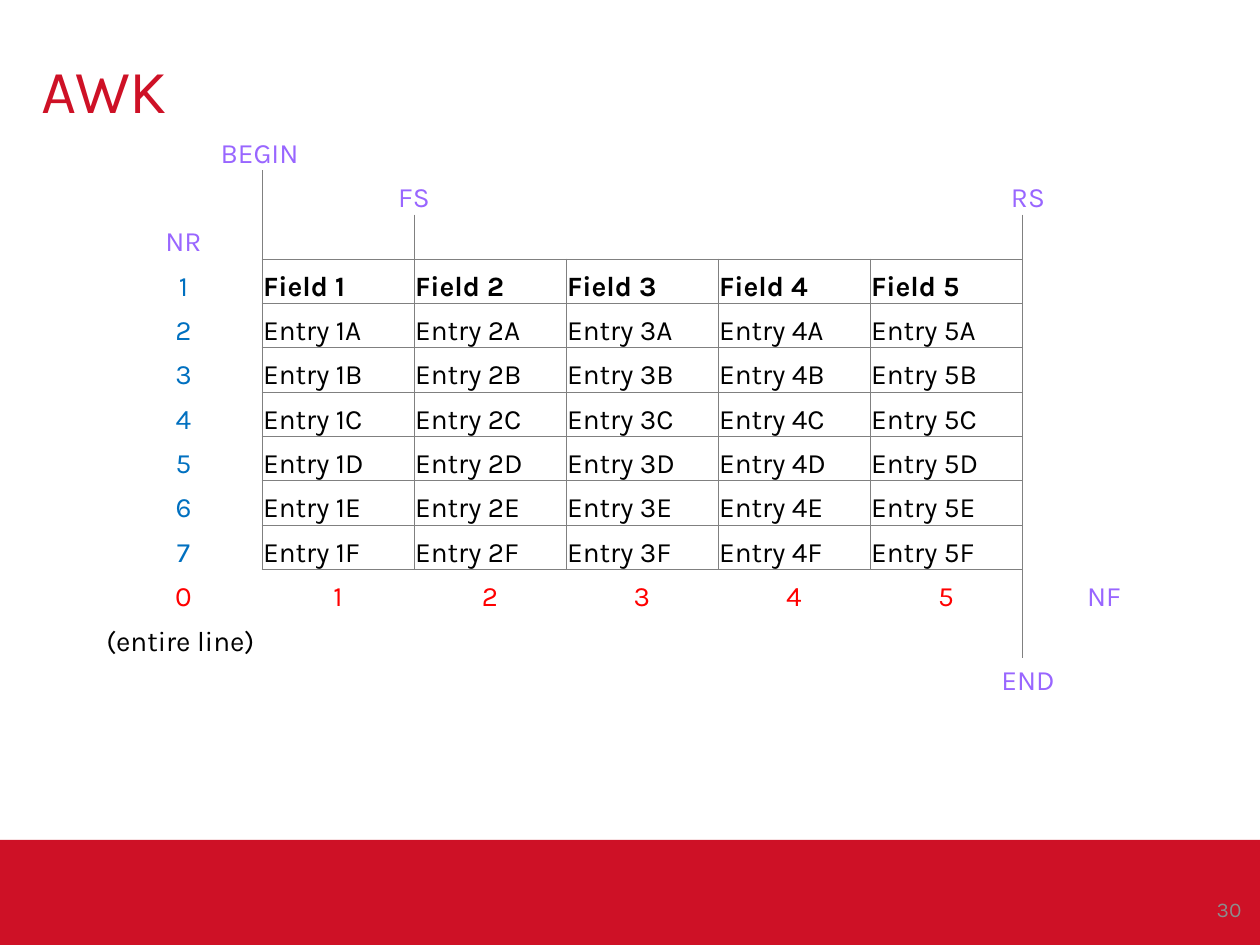
from lxml import etree
from pptx import Presentation
from pptx.dml.color import RGBColor
from pptx.enum.shapes import MSO_SHAPE
from pptx.enum.text import MSO_ANCHOR, PP_ALIGN
from pptx.oxml.ns import qn
from pptx.util import Emu, Inches, Pt

LEFT, CENTER, RIGHT = PP_ALIGN.LEFT, PP_ALIGN.CENTER, PP_ALIGN.RIGHT
MIDDLE, BOTTOM = MSO_ANCHOR.MIDDLE, MSO_ANCHOR.BOTTOM
EMU_PER_PX = 914400 / 126
FONT = "Karla"
COLORS = {
    "red": "CE1126",
    "page_number": "8C8C8C",
    "border": "808080",
    "variable": "9966FF",
    "record": "0070C0",
    "field": "FF0000",
    "text": "000000",
}
NO_STYLE_NO_GRID = "{2D5ABB26-0587-4C30-8999-92F81FD0307C}"
COLUMN_WIDTHS = [157] + [152] * 5 + [164]
ROW_COUNT = 13
FIELDS = range(1, 6)
FIRST_ROW, LAST_ROW = 3, 9
# Column boundary -> rows in which its vertical line is drawn
VERTICALS = {
    1: range(1, 10),
    2: range(2, 10),
    3: range(3, 10),
    4: range(3, 10),
    5: range(3, 10),
    6: range(2, 12),
}
HORIZONTALS = range(FIRST_ROW, LAST_ROW + 2)
MERGES = [(0, 0), (1, 1), (1, 5), (11, 0), (12, 5)]
VARIABLES = {
    (0, 0): "BEGIN",
    (1, 1): "FS",
    (1, 5): "RS",
    (2, 0): "NR",
    (10, 6): "NF",
    (12, 5): "END",
}


def px(length):
    return Emu(round(length * EMU_PER_PX))


def rgb(name):
    return RGBColor.from_string(COLORS[name])


def write(frame, text, size, color, align=LEFT, bold=False):
    para = frame.paragraphs[0]
    para.text = text
    para.alignment = align
    para.font.name = FONT
    para.font.size = Pt(size)
    para.font.bold = bold
    para.font.color.rgb = rgb(color)


def place(shape, left, top, width, height):
    shape.left, shape.top = px(left), px(top)
    shape.width, shape.height = px(width), px(height)


def add_footer(page):
    bar = page.shapes.add_shape(MSO_SHAPE.RECTANGLE, px(0), px(840), px(1260), px(105))
    bar.shadow.inherit = False
    bar.fill.solid()
    bar.fill.fore_color.rgb = rgb("red")
    bar.line.fill.background()
    box = page.shapes.add_textbox(px(1181), px(879), px(73), px(60))
    box.text_frame.word_wrap = True
    box.text_frame.vertical_anchor = MIDDLE
    write(box.text_frame, "30", 12, "page_number", RIGHT)


def format_title(title):
    place(title, 29, 10, 1071, 158)
    title.text_frame.vertical_anchor = MIDDLE
    write(title.text_frame, "AWK", 35, "red")


def cell_contents():
    """Map (row, column) to text, colour, alignment and boldness."""
    contents = {spot: (text, "variable", CENTER, False) for spot, text in VARIABLES.items()}
    for number, row in enumerate(range(FIRST_ROW, LAST_ROW + 1), start=1):
        contents[row, 0] = (str(number), "record", CENTER, False)
    for field in FIELDS:
        contents[FIRST_ROW, field] = (f"Field {field}", "text", LEFT, True)
        for row, letter in enumerate("ABCDEF", start=FIRST_ROW + 1):
            contents[row, field] = (f"Entry {field}{letter}", "text", LEFT, False)
    for field in range(6):
        contents[10, field] = (str(field), "field", CENTER, False)
    contents[11, 0] = ("(entire line)", "text", LEFT, False)
    return contents


def set_borders(cell, row, column):
    """Draw the sides of the cell that lie on a ruled line; hide the rest."""
    sides = {
        "a:lnL": row in VERTICALS.get(column, ()),
        "a:lnR": row in VERTICALS.get(column + 1, ()),
        "a:lnT": column in FIELDS and row in HORIZONTALS,
        "a:lnB": column in FIELDS and row + 1 in HORIZONTALS,
    }
    properties = cell._tc.get_or_add_tcPr()
    for tag, visible in sides.items():
        line = etree.SubElement(properties, qn(tag), w=str(Pt(0.5) if visible else 0))
        if visible:
            fill = etree.SubElement(line, qn("a:solidFill"))
            etree.SubElement(fill, qn("a:srgbClr"), val=COLORS["border"])
        else:
            etree.SubElement(line, qn("a:noFill"))


def add_awk_table(page):
    frame = page.shapes.add_table(
        ROW_COUNT, len(COLUMN_WIDTHS), px(105), px(126), px(sum(COLUMN_WIDTHS)), px(577)
    )
    table = frame.table
    table.first_row = table.horz_banding = False
    table._tbl.tblPr.find(qn("a:tableStyleId")).text = NO_STYLE_NO_GRID
    for column, width in zip(table.columns, COLUMN_WIDTHS):
        column.width = px(width)
    contents = cell_contents()
    for row in range(ROW_COUNT):
        for column in range(len(COLUMN_WIDTHS)):
            cell = table.cell(row, column)
            cell.margin_left = cell.margin_right = cell.margin_top = Inches(0.01)
            cell.margin_bottom = 0
            cell.vertical_anchor = MIDDLE if row == ROW_COUNT - 1 else BOTTOM
            text, color, align, bold = contents.get((row, column), ("", "text", LEFT, False))
            write(cell.text_frame, text, 16, color, align, bold)
            set_borders(cell, row, column)
            cell.fill.background()
    for row, column in MERGES:
        table.cell(row, column).merge(table.cell(row, column + 1))


def main():
    deck = Presentation()
    deck.slide_width, deck.slide_height = px(1260), px(945)
    page = deck.slides.add_slide(deck.slide_layouts[5])
    add_footer(page)
    format_title(page.shapes.title)
    add_awk_table(page)
    deck.save("out.pptx")


if __name__ == "__main__":
    main()
